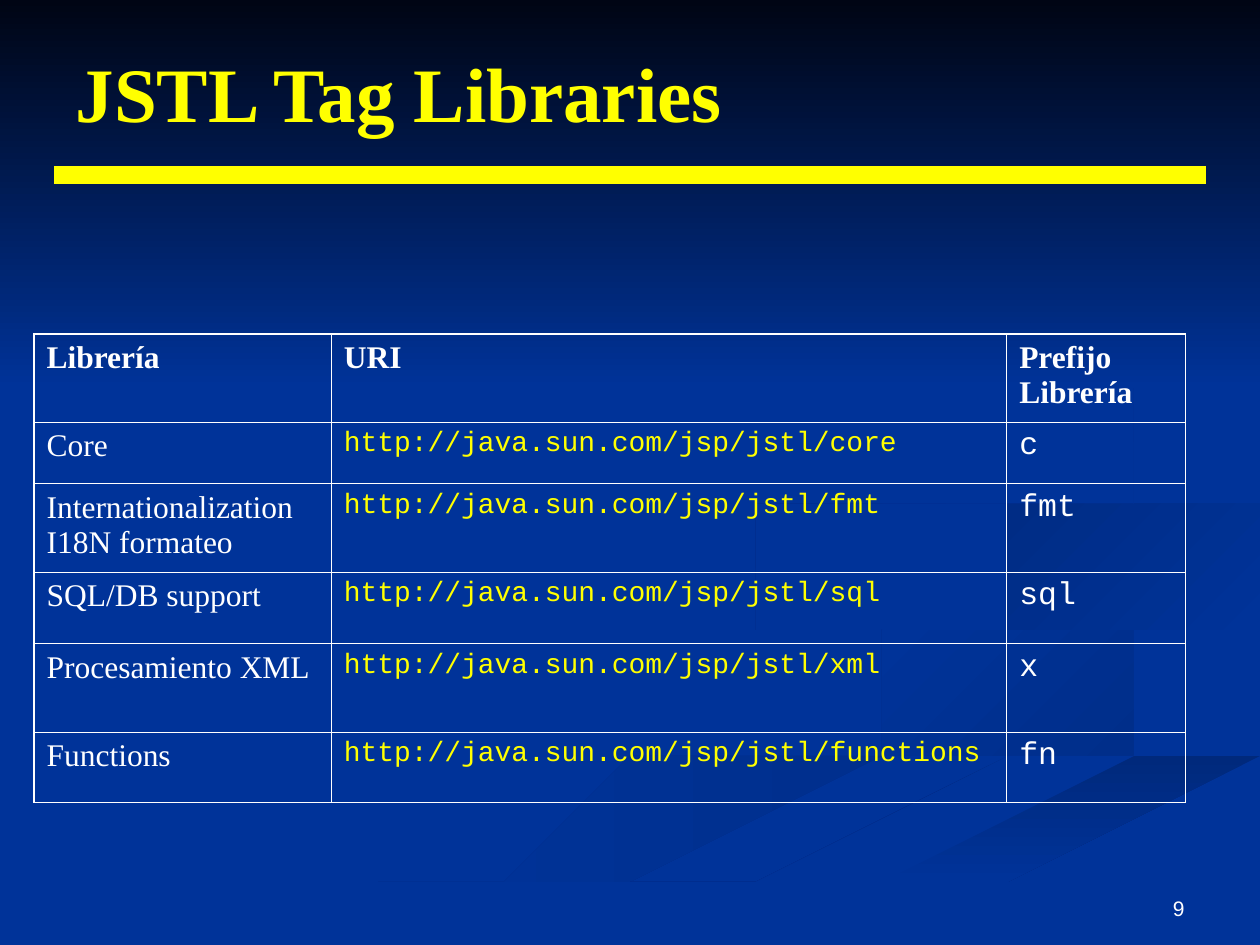
from lxml.etree import SubElement
from pptx import Presentation
from pptx.dml.color import RGBColor
from pptx.enum.shapes import MSO_CONNECTOR, MSO_SHAPE
from pptx.enum.text import MSO_ANCHOR, PP_ALIGN
from pptx.oxml import parse_xml
from pptx.oxml.ns import nsdecls, qn
from pptx.util import Inches, Pt

BLUE, YELLOW, WHITE = "003399", "FFFF00", "FFFFFF"
SERIF, MONO, SANS = "Times New Roman", "Courier New", "Arial"
THIN, THICK = 0.45, 1.08

# Each ribbon: outline points, gradient colours, clockwise angle
RIBBONS = [
    ([(7.8, 5.53), (7.15, 5.28), (6.14, 4.96), (5.75, 4.59), (5.76, 4.8), (6.31, 5.05),
      (7.52, 5.43), (7.86, 5.66), (7.59, 5.9), (5.39, 6.49), (4.17, 6.9), (3, 7.49),
      (3.61, 7.49), (4.99, 6.87), (7.4, 6.18), (8, 5.81)], "002E8A", BLUE, 180),
    ([(9.43, 5.7), (9.05, 5.4), (7.58, 4.98), (7.24, 4.64), (7.46, 5), (8.8, 5.49),
      (9.18, 5.81), (8.94, 6.05), (9.37, 5.86)], "002E8A", BLUE, 225),
    ([(5.03, 7.49), (5.71, 7.49), (6.95, 6.92), (8.21, 6.51), (9.98, 6.09), (9.98, 5.81),
      (7.64, 6.47), (6.3, 6.93)], "00297C", BLUE, 90),
    ([(7.25, 4.64), (7.59, 4.98), (9.05, 5.4), (9.43, 5.7), (9.11, 6), (7.04, 6.55),
      (4.77, 7.49), (5.19, 7.47), (6.3, 6.93), (7.65, 6.47), (9.99, 5.81), (9.99, 5.38),
      (8.48, 5.03), (7.81, 4.63), (8.22, 4.34), (9.99, 4.02), (9.99, 3.87), (7.88, 4.22)],
     BLUE, BLUE, 0),
    ([(7.81, 4.6), (7.91, 4.78), (8.26, 4.96), (8.05, 4.72), (8.43, 4.48), (9.98, 4.2),
      (9.98, 4.02), (8.21, 4.33)], BLUE, "002C85", 225),
    ([(6.83, 4.3), (8.25, 4.02), (8.83, 3.7), (8.9, 3.24), (8.43, 2.75), (7.62, 2.33),
      (8.46, 2.79), (8.89, 3.35), (8.61, 3.7), (6.49, 4.2), (5.84, 4.46), (5.8, 4.74),
      (6.22, 5), (5.93, 4.7), (6.24, 4.44)], BLUE, "002B81", 225),
]

COLUMN_WIDTHS = [2.36, 5.36, 1.42]
ROW_HEIGHTS = [0.7, 0.49, 0.7, 0.57, 0.7, 0.56]
HEADERS = ["Librería", "URI", "Prefijo Librería"]
LIBRARIES = [
    ("Core", "http://java.sun.com/jsp/jstl/core", "c"),
    ("Internationalization I18N formateo", "http://java.sun.com/jsp/jstl/fmt", "fmt"),
    ("SQL/DB support", "http://java.sun.com/jsp/jstl/sql", "sql"),
    ("Procesamiento XML", "http://java.sun.com/jsp/jstl/xml", "x"),
    ("Functions", "http://java.sun.com/jsp/jstl/functions", "fn"),
]
HEADER_STYLE = dict(size=18, font=SERIF, color=WHITE, bold=True)
COLUMN_STYLES = [
    dict(size=18, font=SERIF, color=WHITE),
    dict(size=16, font=MONO, color=YELLOW),
    dict(size=18, font=MONO, color=WHITE),
]


def rgb(color):
    return RGBColor.from_string(color)


def write(frame, text, size, font, color, bold=False, align=PP_ALIGN.LEFT,
          anchor=MSO_ANCHOR.TOP):
    frame.word_wrap = True
    frame.vertical_anchor = anchor
    para = frame.paragraphs[0]
    para.alignment = align
    span = para.add_run()
    span.text = text
    span.font.size = Pt(size)
    span.font.name = font
    span.font.bold = bold
    span.font.color.rgb = rgb(color)


def shade(shape, first, last, angle):
    shape.shadow.inherit = False
    shape.line.fill.background()
    if first == last:
        shape.fill.solid()
        shape.fill.fore_color.rgb = rgb(first)
        return
    shape.fill.gradient()
    shape.fill.gradient_angle = 360 - angle
    for stop, color in zip(shape.fill.gradient_stops, (first, last)):
        stop.color.rgb = rgb(color)


def add_ribbon(page, points, first, last, angle):
    start, *others = points
    builder = page.shapes.build_freeform(*start, scale=Inches(1))
    builder.add_line_segments(others, close=True)
    shade(builder.convert_to_shape(), first, last, angle)


def add_top_band(page):
    band = page.shapes.add_shape(MSO_SHAPE.RECTANGLE, 0, 0, Inches(10), Inches(3.08))
    shade(band, "000514", BLUE, 90)


def add_rule(page, left, right, top):
    rule = page.shapes.add_connector(MSO_CONNECTOR.STRAIGHT, Inches(left), Inches(top),
                                     Inches(right), Inches(top))
    rule.line.color.rgb = rgb(YELLOW)
    rule.line.width = Pt(10)
    SubElement(rule._element.spPr, qn("a:effectLst"))


def set_borders(cell, widths):
    properties = cell._tc.get_or_add_tcPr()
    for index, (side, width) in enumerate(widths.items()):
        properties.insert(index, parse_xml(
            f'<a:ln{side} {nsdecls("a")} w="{Pt(width)}"><a:solidFill>'
            f'<a:srgbClr val="{WHITE}"/></a:solidFill></a:ln{side}>'))


def add_library_table(page):
    rows = [HEADERS, *LIBRARIES]
    last_row, last_column = len(rows) - 1, len(HEADERS) - 1
    table = page.shapes.add_table(
        len(rows), len(HEADERS), Inches(0.27), Inches(2.65),
        Inches(sum(COLUMN_WIDTHS)), Inches(sum(ROW_HEIGHTS))).table
    table.first_row = table.horz_banding = False
    for column, width in zip(table.columns, COLUMN_WIDTHS):
        column.width = Inches(width)
    for r, (texts, height) in enumerate(zip(rows, ROW_HEIGHTS)):
        table.rows[r].height = Inches(height)
        for c, text in enumerate(texts):
            cell = table.cell(r, c)
            cell.fill.background()
            write(cell.text_frame, text, **(COLUMN_STYLES[c] if r else HEADER_STYLE))
            outer = {"L": c == 0, "R": c == last_column, "T": r == 0, "B": r == last_row}
            set_borders(cell, {side: THICK if edge else THIN for side, edge in outer.items()})


def add_title(page, text):
    title = page.shapes.title
    page.shapes._spTree.append(title._element)
    title.left, title.top = Inches(0.5), Inches(0.3)
    title.width, title.height = Inches(9), Inches(0.85)
    write(title.text_frame, text, size=44, font=SERIF, color=YELLOW, bold=True,
          anchor=MSO_ANCHOR.MIDDLE)


def add_page_number(page, number):
    box = page.shapes.add_textbox(Inches(7.17), Inches(7.14), Inches(2.33), Inches(0.22))
    write(box.text_frame, number, size=12, font=SANS, color=WHITE,
          align=PP_ALIGN.RIGHT, anchor=MSO_ANCHOR.BOTTOM)


def main():
    deck = Presentation()
    deck.slide_width, deck.slide_height = Inches(10), Inches(7.5)
    page = deck.slides.add_slide(deck.slide_layouts[5])
    page.background.fill.solid()
    page.background.fill.fore_color.rgb = rgb(BLUE)
    for ribbon in RIBBONS:
        add_ribbon(page, *ribbon)
    add_top_band(page)
    add_rule(page, 0.43, 9.57, 1.39)
    add_title(page, "JSTL Tag Libraries")
    add_library_table(page)
    add_page_number(page, "9")
    deck.save("out.pptx")


if __name__ == "__main__":
    main()
